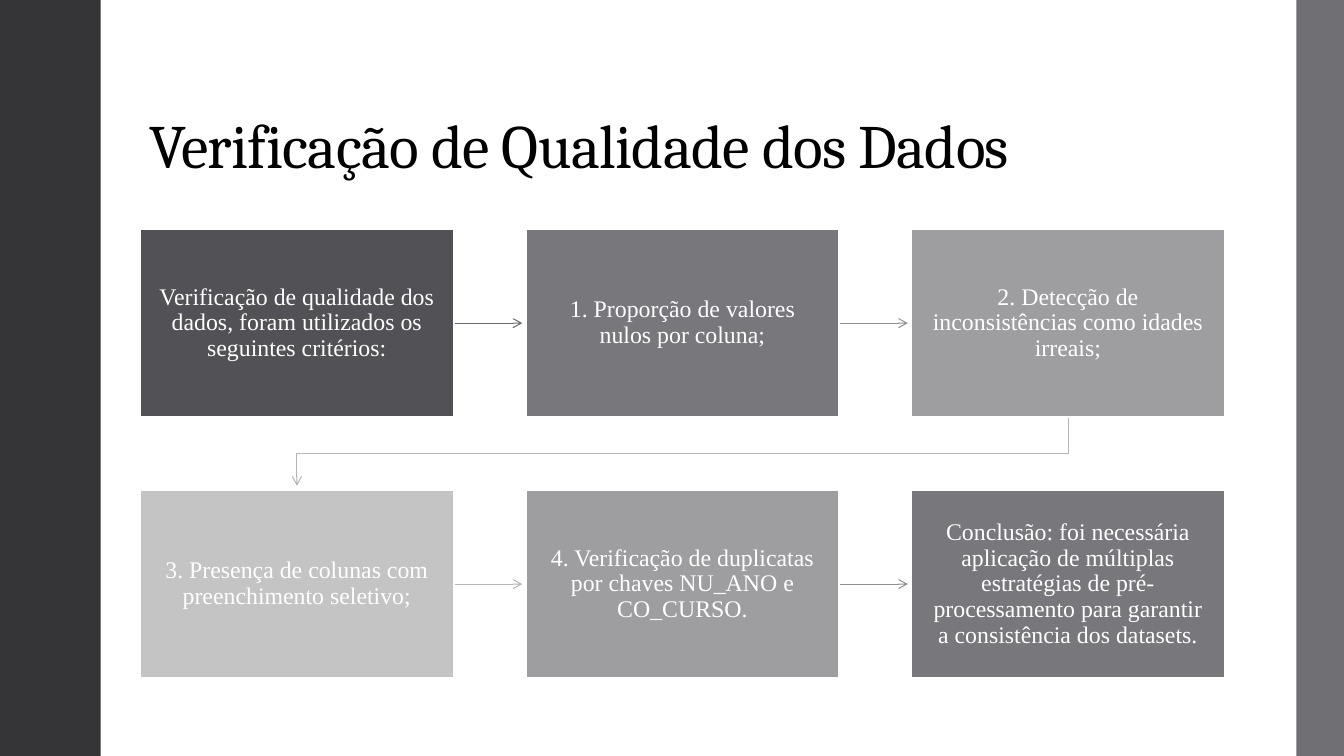
"""Build the data quality verification slide with its six linked steps."""
import dataclasses
import typing

import lxml.etree
import pptx
import pptx.dml.color
import pptx.enum.shapes
import pptx.enum.text
import pptx.oxml.ns
import pptx.util

Pt = pptx.util.Pt
WIDTH, HEIGHT = 960, 540
COLUMNS = 3
STEP_LEFT, STEP_TOP = 100.1, 163.6
STEP_WIDTH, STEP_HEIGHT = 224, 134.4
COLUMN_PITCH, ROW_PITCH = 275.4, 186.4
ARROW_LENGTH = 49
TURN_DEPTH = 26


@dataclasses.dataclass
class Bar:
    """A vertical bar at a slide edge."""
    left: float
    width: float
    fill: str


@dataclasses.dataclass
class Step:
    """A box of the flow and the colour of the arrow that leaves it."""
    text: str
    fill: str
    arrow: str = ""


BARS = [Bar(0, 72, "353537"), Bar(926, 34, "6F6F74")]
STEPS = [
    Step("Verificação de qualidade dos dados, foram utilizados os seguintes critérios:",
         "525256", "6A6A6F"),
    Step("1. Proporção de valores nulos por coluna;", "77777C", "909093"),
    Step("2. Detecção de inconsistências como idades irreais;", "9E9EA1", "B6B6B8"),
    Step("3. Presença de colunas com preenchimento seletivo;", "C4C4C5", "B6B6B8"),
    Step("4. Verificação de duplicatas por chaves NU_ANO e CO_CURSO.", "9E9EA1", "909093"),
    Step("Conclusão: foi necessária aplicação de múltiplas estratégias de "
         "pré-processamento para garantir a consistência dos datasets.", "77777C"),
]
STEP_FRAME = {
    "word_wrap": True,
    "vertical_anchor": pptx.enum.text.MSO_ANCHOR.MIDDLE,
    "margin_left": Pt(11), "margin_right": Pt(11),
    "margin_top": Pt(11.5), "margin_bottom": Pt(11.5),
}
STEP_PARA = {"alignment": pptx.enum.text.PP_ALIGN.CENTER, "line_spacing": 0.9}
STEP_FONT = {"name": "Times New Roman", "size": Pt(17)}
TITLE_FRAME = {"word_wrap": True, "vertical_anchor": pptx.enum.text.MSO_ANCHOR.BOTTOM}
TITLE_PARA = {"line_spacing": 0.9}
TITLE_FONT = {"name": "Cambria", "size": Pt(44)}


def apply(target: typing.Any, values: dict) -> None:
    """Set each format value on the target."""
    for name, value in values.items():
        setattr(target, name, value)


def paint(fill: typing.Any, color: str) -> None:
    """Make a fill solid in a hex colour."""
    fill.solid()
    fill.fore_color.rgb = pptx.dml.color.RGBColor.from_string(color)


def write(box: typing.Any, text: str, color: str,
          frame: dict, para_values: dict, font: dict) -> typing.Any:
    """Write one formatted paragraph into a box and return its run."""
    apply(box.text_frame, frame)
    para = box.text_frame.paragraphs[0]
    apply(para, para_values)
    span = para.add_run()
    span.text = text
    apply(span.font, font)
    paint(span.font.fill, color)
    return span


def add_rectangle(page: typing.Any, left: float, top: float,
                  width: float, height: float, fill: str) -> typing.Any:
    """Add a flat rectangle without an outline."""
    box = page.shapes.add_shape(pptx.enum.shapes.MSO_SHAPE.RECTANGLE,
                                Pt(left), Pt(top), Pt(width), Pt(height))
    box.shadow.inherit = False
    paint(box.fill, fill)
    box.line.fill.background()
    return box


def add_title(page: typing.Any) -> None:
    """Add the slide title."""
    box = page.shapes.add_textbox(Pt(99.4), Pt(28.8), Pt(776), Pt(104.4))
    span = write(box, "Verificação de Qualidade dos Dados", "000000",
                 TITLE_FRAME, TITLE_PARA, TITLE_FONT)
    span._r.get_or_add_rPr().set("spc", "-50")


def finish_arrow(arrow: typing.Any, color: str) -> None:
    """Style a line and give its end an open arrowhead."""
    arrow.line.width = Pt(0.75)
    paint(arrow.line.fill, color)
    qn = pptx.oxml.ns.qn
    outline = arrow.element.spPr.find(qn("a:ln"))
    lxml.etree.SubElement(outline, qn("a:tailEnd"), type="arrow")


def add_straight_arrow(page: typing.Any, left: float, top: float, color: str) -> None:
    """Add an arrow from a step to its right neighbour."""
    start = left + STEP_WIDTH
    middle = top + STEP_HEIGHT / 2
    arrow = page.shapes.add_connector(
        pptx.enum.shapes.MSO_CONNECTOR.STRAIGHT,
        Pt(start), Pt(middle), Pt(start + ARROW_LENGTH), Pt(middle))
    lxml.etree.SubElement(arrow.element.spPr, pptx.oxml.ns.qn("a:effectLst"))
    finish_arrow(arrow, color)


def add_turning_arrow(page: typing.Any, left: float, top: float, color: str) -> None:
    """Add the arrow from the end of one row to the start of the next."""
    start = left + STEP_WIDTH / 2
    end = STEP_LEFT + STEP_WIDTH / 2
    bottom = top + STEP_HEIGHT
    turn = bottom + TURN_DEPTH
    builder = page.shapes.build_freeform(Pt(start), Pt(bottom))
    corners = [(start, turn), (end, turn), (end, bottom + ARROW_LENGTH)]
    builder.add_line_segments([(Pt(x), Pt(y)) for x, y in corners], close=False)
    arrow = builder.convert_to_shape()
    arrow.shadow.inherit = False
    arrow.fill.background()
    finish_arrow(arrow, color)


def add_step(page: typing.Any, index: int, step: Step) -> None:
    """Add a step at its grid place with the arrow that leaves it."""
    row, column = divmod(index, COLUMNS)
    left = STEP_LEFT + column * COLUMN_PITCH
    top = STEP_TOP + row * ROW_PITCH
    if step.arrow:
        add_arrow = add_turning_arrow if column == COLUMNS - 1 else add_straight_arrow
        add_arrow(page, left, top, step.arrow)
    box = add_rectangle(page, left, top, STEP_WIDTH, STEP_HEIGHT, step.fill)
    paint(box.line.fill, "FFFFFF")
    box.line.width = Pt(1.35)
    write(box, step.text, "FFFFFF", STEP_FRAME, STEP_PARA, STEP_FONT)


def main() -> None:
    """Build and save the deck."""
    deck = pptx.Presentation()
    apply(deck, {"slide_width": Pt(WIDTH), "slide_height": Pt(HEIGHT)})
    page = deck.slides.add_slide(deck.slide_layouts[6])
    paint(page.background.fill, "FFFFFF")
    add_title(page)
    for bar in BARS:
        add_rectangle(page, bar.left, 0, bar.width, HEIGHT, bar.fill)
    for index, step in enumerate(STEPS):
        add_step(page, index, step)
    deck.save("out.pptx")


if __name__ == "__main__":
    main()
